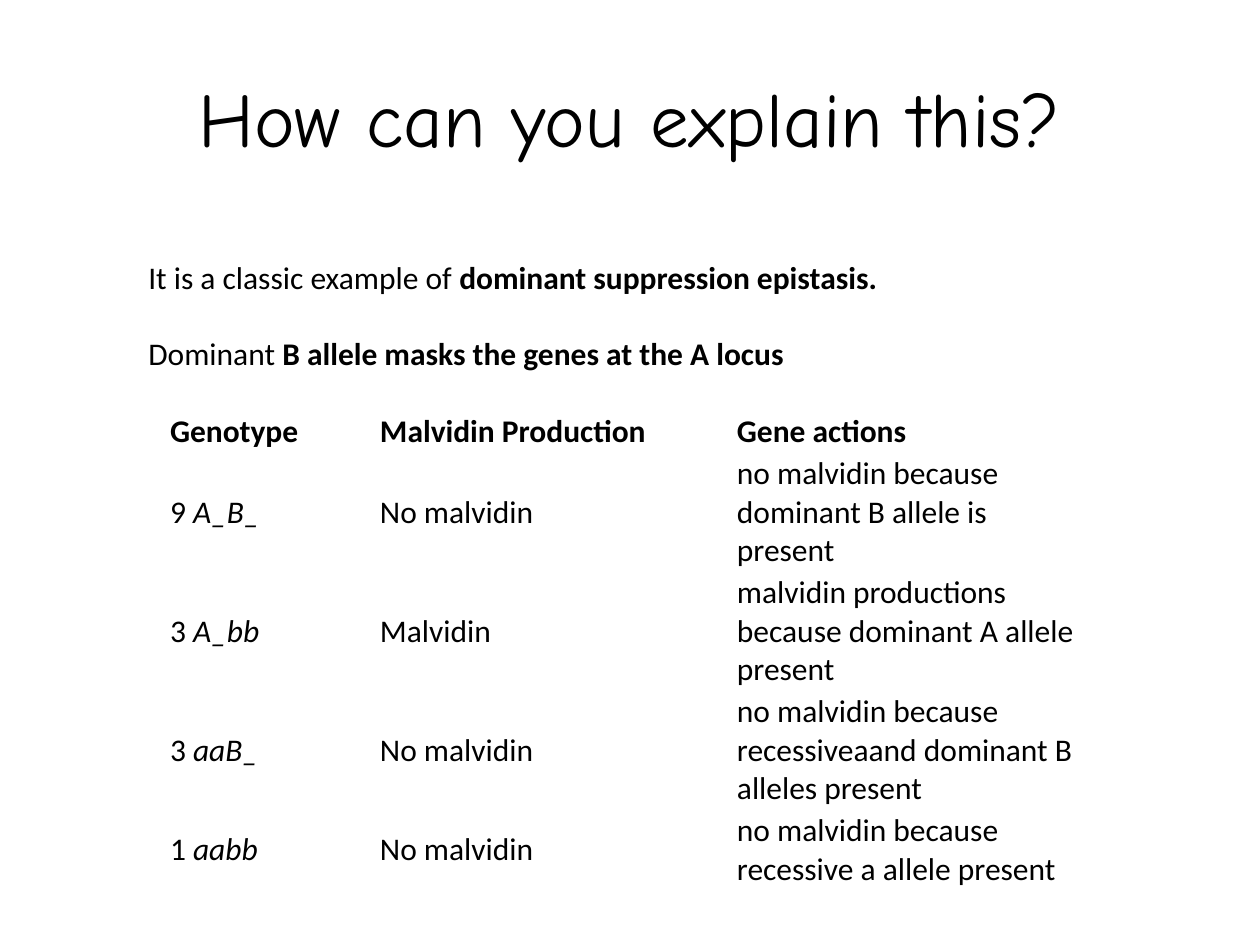
from pptx import Presentation
from pptx import util as u
from pptx.dml.color import RGBColor
from pptx.enum import text

EMU_PER_PX = 914400 / 126
COLORS = {"ink": "000000", "paper": "FFFFFF"}
TITLE_FONT, BODY_FONT = "Comic Neue", "Calibri"
BODY_SIZE = 18

STATEMENTS = [
    [("It is a classic example of ", ""), ("dominant suppression epistasis.", "b")],
    [("Dominant ", ""), ("B allele masks the genes at the A locus", "b")],
]
HEADINGS = ["Genotype", "Malvidin Production", "Gene actions"]
# Ratio, genotype, production, gene action
CROSSES = [
    ("9 ", "A_B_", "No malvidin", "no malvidin because dominant B allele is present"),
    ("3 ", "A_bb", "Malvidin", "malvidin productions because dominant A allele present"),
    ("3 ", "aaB_", "No malvidin",
     "no malvidin because recessiveaand dominant B alleles present"),
    ("1 ", "aabb", "No malvidin", "no malvidin because recessive a allele present"),
]
COLUMN_WIDTHS = [210, 357, 357]
ROW_HEIGHTS = [43, 119, 119, 119, 80]


def px(length):
    return u.Emu(round(length * EMU_PER_PX))


def add_runs(para, runs, font=BODY_FONT, size=BODY_SIZE):
    """Add (wording, style) runs; style is "", "b" or "i"."""
    for wording, style in runs:
        span = para.add_run()
        span.text = wording
        span.font.name = font
        span.font.size = u.Pt(size)
        span.font.bold = style == "b"
        span.font.italic = style == "i"
        span.font.color.rgb = RGBColor.from_string(COLORS["ink"])


def set_title(page, wording):
    title = page.shapes.title
    title.left, title.top, title.width, title.height = map(px, (63, 38, 1134, 157))
    frame = title.text_frame
    frame.vertical_anchor = text.MSO_ANCHOR.MIDDLE
    para = frame.paragraphs[0]
    para.alignment = text.PP_ALIGN.CENTER
    add_runs(para, [(wording, "")], TITLE_FONT, 44)


def add_statements(page, statements):
    box = page.shapes.add_textbox(*map(px, (136, 252, 955, 127)))
    frame = box.text_frame
    frame.word_wrap = True
    for index, runs in enumerate(statements):
        para = frame.add_paragraph() if index else frame.paragraphs[0]
        if index:
            para.space_before = u.Pt(22)
        add_runs(para, runs)


def fill_cell(cell, runs):
    cell.fill.background()
    cell.vertical_anchor = text.MSO_ANCHOR.MIDDLE
    cell.margin_left = cell.margin_right = px(2)
    cell.margin_top = cell.margin_bottom = px(2)
    add_runs(cell.text_frame.paragraphs[0], runs)


def add_genotype_table(page):
    rows = [[[(heading, "b")] for heading in HEADINGS]]
    for ratio, genotype, production, action in CROSSES:
        rows.append([[(ratio, ""), (genotype, "i")], [(production, "")], [(action, "")]])

    frame = page.shapes.add_table(
        len(rows), len(HEADINGS), px(168), px(410),
        px(sum(COLUMN_WIDTHS)), px(sum(ROW_HEIGHTS)))
    table = frame.table
    table.first_row = table.horz_banding = False
    for column, width in zip(table.columns, COLUMN_WIDTHS):
        column.width = px(width)
    for table_row, height, cells in zip(table.rows, ROW_HEIGHTS, rows):
        table_row.height = px(height)
        for cell, runs in zip(table_row.cells, cells):
            fill_cell(cell, runs)


def main():
    deck = Presentation()
    deck.slide_width, deck.slide_height = px(1260), px(945)
    page = deck.slides.add_slide(deck.slide_layouts[5])
    page.background.fill.solid()
    page.background.fill.fore_color.rgb = RGBColor.from_string(COLORS["paper"])

    # Heading, explanation, then the genotype breakdown
    set_title(page, "How can you explain this?")
    add_statements(page, STATEMENTS)
    add_genotype_table(page)
    deck.save("out.pptx")


if __name__ == "__main__":
    main()
